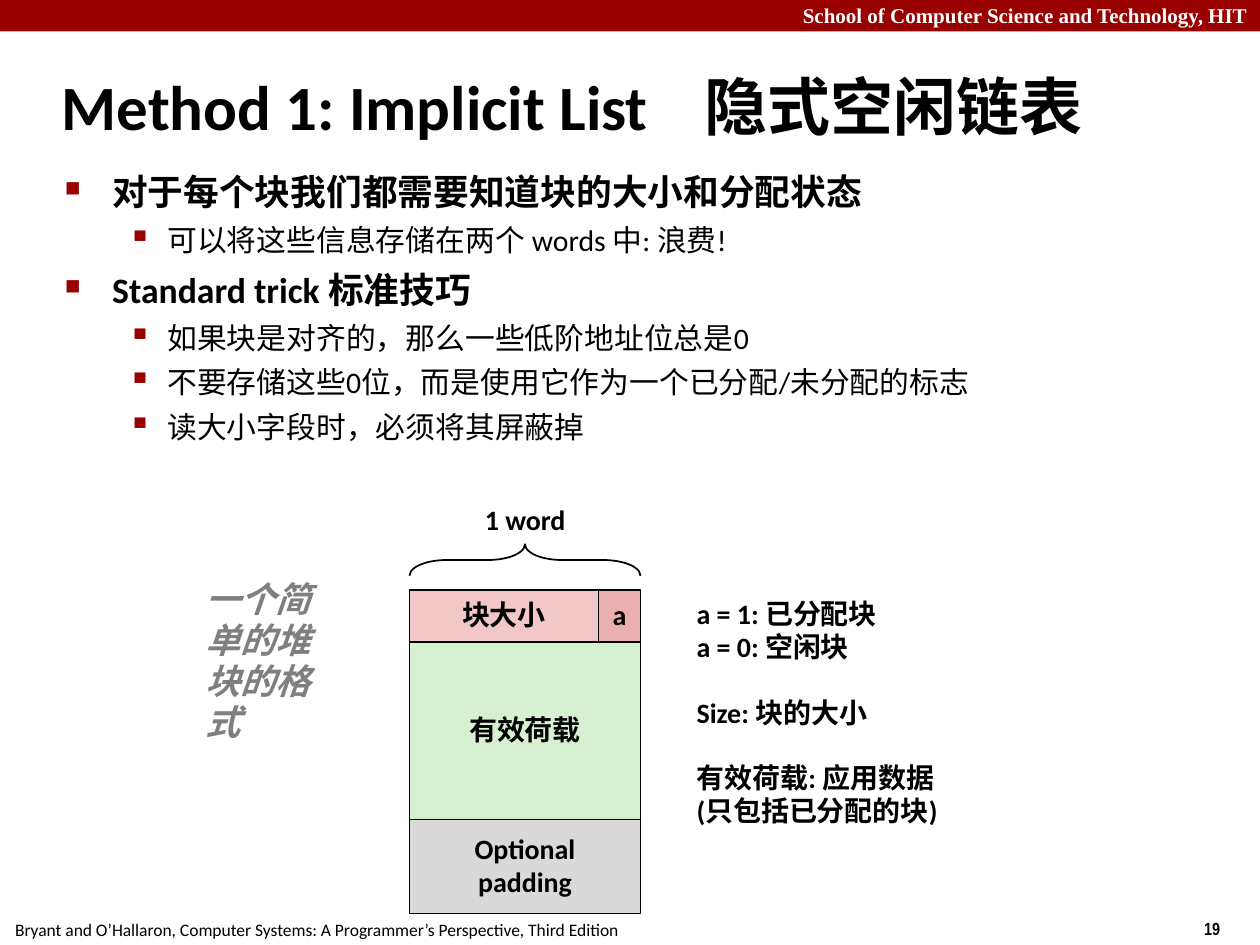
import pptx
import pptx.util
import pptx.dml.color
import pptx.enum.shapes
import pptx.enum.text
import pptx.oxml.ns
import lxml.etree

Pt = pptx.util.Pt
RGB = pptx.dml.color.RGBColor
Shape = pptx.enum.shapes.MSO_SHAPE
Align = pptx.enum.text.PP_ALIGN
Mid = pptx.enum.text.MSO_ANCHOR.MIDDLE
Fit = pptx.enum.text.MSO_AUTO_SIZE

RED = RGB(0x99, 0x00, 0x00)
BLACK = RGB(0x00, 0x00, 0x00)
WHITE = RGB(0xFF, 0xFF, 0xFF)
GRAY = RGB(0x7F, 0x7F, 0x7F)
PINK = RGB(0xF1, 0xC7, 0xC7)
ROSE = RGB(0xEB, 0xAF, 0xAF)
GREEN = RGB(0xD5, 0xF1, 0xCF)
SILVER = RGB(0xD9, 0xD9, 0xD9)

FONT = {"name": "Calibri", "size": Pt(16), "bold": True}
LINE = {"line_spacing": 0.98}
# Bullet levels: sign, its size in percent, margin, hang, font, space before
LEVELS = (
    ("■", 60, 27, 27, {"size": Pt(20.4), "bold": True}, 6),
    ("▪", 110, 58.5, 22.5, {"size": Pt(17), "bold": False}, 5),
)


def assign(obj, vals):
    for key, val in vals.items():
        setattr(obj, key, val)


def node(root, tag, **attrs):
    return lxml.etree.SubElement(root, pptx.oxml.ns.qn(tag), **attrs)


def write(frame, lines, font=None, para=LINE, color=BLACK):
    """Fill a text frame, one paragraph a line."""
    for i, line in enumerate(lines):
        par = frame.paragraphs[0] if i == 0 else frame.add_paragraph()
        assign(par, para)
        run = par.add_run()
        run.text = line
        assign(run.font, {**FONT, **(font or {})})
        run.font.color.rgb = color
    return frame.paragraphs


def label(slide, box, lines, font=None, para=LINE, color=BLACK,
          wrap=False, fit=Fit.SHAPE_TO_FIT_TEXT):
    frame = slide.shapes.add_textbox(*map(Pt, box)).text_frame
    assign(frame, {"word_wrap": wrap, "auto_size": fit})
    write(frame, lines, font, para, color)
    return frame


def plain(slide, kind, box, fill=None, line=BLACK):
    shape = slide.shapes.add_shape(kind, *map(Pt, box))
    shape.shadow.inherit = False
    if fill is None:
        shape.fill.background()
    else:
        shape.fill.solid()
        shape.fill.fore_color.rgb = fill
    if line is None:
        shape.line.fill.background()
    else:
        shape.line.color.rgb = line
        shape.line.width = Pt(1)
    return shape


def cell(slide, box, fill, lines):
    frame = plain(slide, Shape.RECTANGLE, box, fill).text_frame
    assign(frame, {"word_wrap": False, "vertical_anchor": Mid})
    write(frame, lines, para={**LINE, "alignment": Align.CENTER})


def header(slide, x, y, w, h):
    plain(slide, Shape.RECTANGLE, (x, y, w, h), RED, None)
    label(slide, (x, y - 2.2, w, 21.6),
          ["School of Computer Science and Technology, HIT"],
          {"name": "Times New Roman", "size": Pt(12)},
          {"alignment": Align.RIGHT}, WHITE, True)


def footer(slide, x, y, w, h):
    label(slide, (x + 1.5, y + 1, 360.7, h),
          ["Bryant and O’Hallaron, Computer Systems: "
           "A Programmer’s Perspective, Third Edition"],
          {"size": Pt(10), "bold": False}, {})
    label(slide, (x + w - 39, y, 54, h), ["19"],
          {"name": "Arial Narrow", "size": Pt(10)}, {})


def title(slide, x, y, w, h):
    frame = label(slide, (x, y, w, h),
                  ["Method 1: Implicit List\t隐式空闲链表"],
                  {"size": Pt(36)}, {}, wrap=True, fit=Fit.NONE)
    frame.vertical_anchor = Mid
    # Tab stop where the second name starts
    props = frame.paragraphs[0]._p.get_or_add_pPr()
    tabs = node(props, "a:tabLst")
    node(tabs, "a:tab", pos=str(Pt(367)), algn="l")


def bullets(slide, x, y, w, h, items):
    frame = slide.shapes.add_textbox(*map(Pt, (x, y, w, h))).text_frame
    frame.word_wrap = True
    pars = write(frame, [text for _, text in items], para={})
    for par, (level, _) in zip(pars, items):
        sign, size, left, hang, font, gap = LEVELS[level]
        assign(par, {"level": level, "space_before": Pt(gap)})
        assign(par.runs[0].font, font)
        props = par._p.get_or_add_pPr()
        props.set("marL", str(Pt(left)))
        props.set("indent", str(-Pt(hang)))
        node(node(props, "a:buClr"), "a:srgbClr", val=str(RED))
        node(props, "a:buSzPct", val=str(size * 1000))
        node(props, "a:buChar", char=sign)


def block(slide, x, y, w, h):
    """Heap block: brace, header word, payload and padding."""
    label(slide, (x + 36, y, 60.5, 26), ["1 word"])

    # Brace over the whole width, turned to point up
    deep, mid = 18, y + 35.6
    brace = plain(slide, Shape.RIGHT_BRACE,
                  (x + (w - deep) / 2, mid - w / 2, deep, w))
    brace.rotation = 270
    brace.adjustments[0] = 1.18

    # Cells, stacked from the header word down
    top, head, load, flag = y + 52.6, 30, 101.3, 24
    pad = top + head + load
    cell(slide, (x, top, w - flag, head), PINK, ["块大小"])
    cell(slide, (x + w - flag, top, flag, head), ROSE, ["a"])
    cell(slide, (x, top + head, w, load), GREEN, ["有效荷载"])
    cell(slide, (x, pad, w, y + h - pad), SILVER, ["Optional", "padding"])


def legend(slide, x, y, w, h):
    frame = label(slide, (x, y, w, h),
                  ["a = 1: 已分配块", "a = 0: 空闲块", "Size: 块的大小",
                   "有效荷载: 应用数据", "(只包括已分配的块)"])
    for i in (2, 3):
        frame.paragraphs[i].space_before = Pt(18.7)


def main():
    deck = pptx.Presentation()
    assign(deck, {"slide_width": Pt(720), "slide_height": Pt(540)})
    slide = deck.slides.add_slide(deck.slide_layouts[6])

    header(slide, 0, 0, 720, 18)
    footer(slide, 0, 520.8, 720, 19.4)
    title(slide, 28.3, 37.5, 604, 45.4)
    bullets(slide, 30, 93.6, 650, 170, [
        (0, "对于每个块我们都需要知道块的大小和分配状态"),
        (1, "可以将这些信息存储在两个 words 中: 浪费!"),
        (0, "Standard trick 标准技巧"),
        (1, "如果块是对齐的，那么一些低阶地址位总是0"),
        (1, "不要存储这些0位，而是使用它作为一个已分配/未分配的标志"),
        (1, "读大小字段时，必须将其屏蔽掉"),
    ])
    # Caption left of the block
    label(slide, (110.2, 327.6, 80, 101.5), ["一个简单的堆块的格式"],
          {"size": Pt(20), "italic": True}, color=GRAY, wrap=True)
    block(slide, 234, 284.4, 132, 237.6)
    legend(slide, 391, 338.4, 159, 157.7)
    deck.save("out.pptx")


if __name__ == "__main__":
    main()
